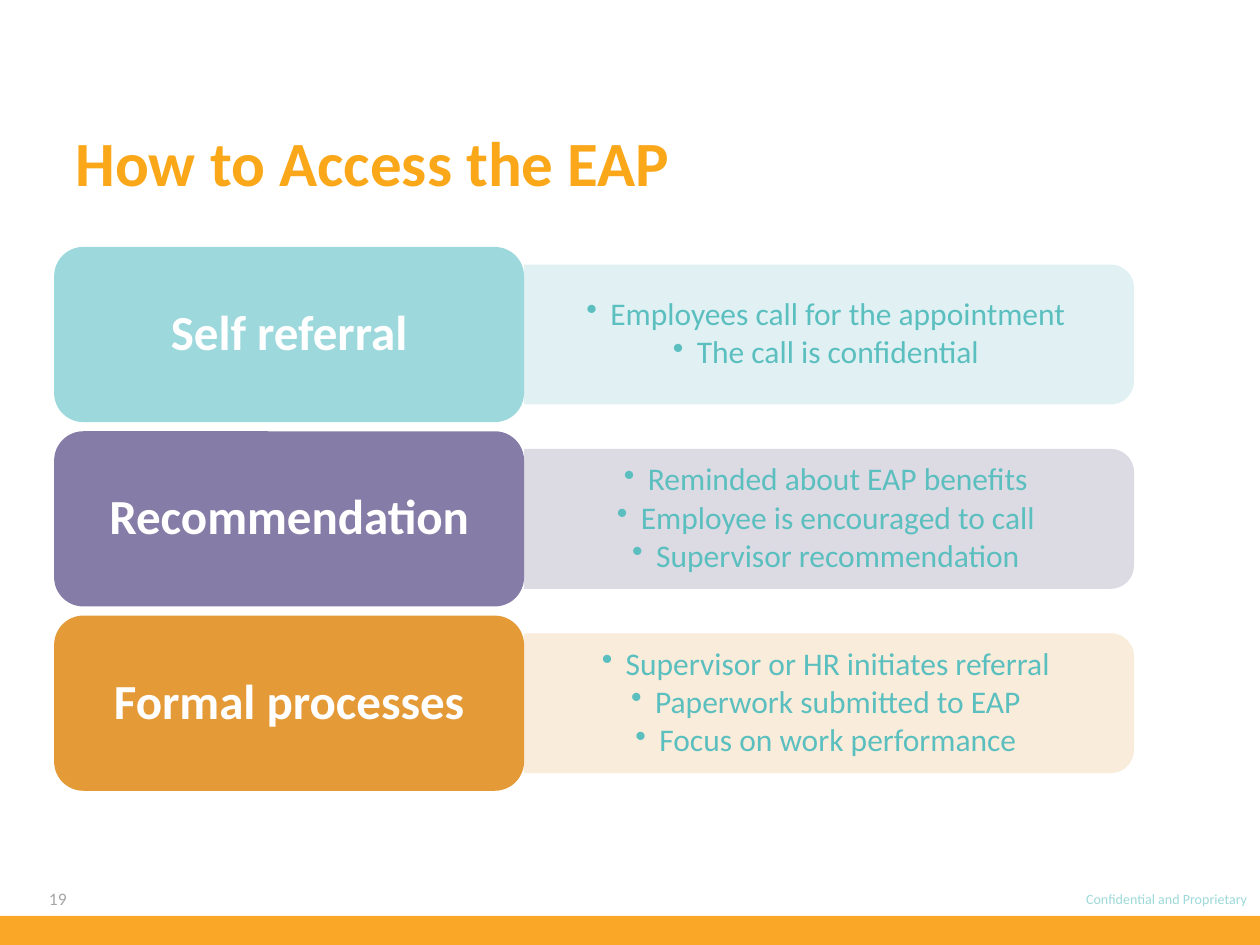
import pptx
import pptx.util
import pptx.dml.color
import pptx.enum.shapes
import pptx.enum.text
import pptx.oxml
import pptx.oxml.ns
from pptx.util import Inches

FONT = "Calibri"
COLORS = {
    "title": "FAA819",
    "band": "FAA626",
    "footer": "9DD9D9",
    "number": "A6A6A6",
    "detail": "5BBFBF",
    "white": "FFFFFF",
}
ROUTES = [
    ("Self referral", "9CD8DC", "DEF0F2",
     ["Employees call for the appointment", "The call is confidential"]),
    ("Recommendation", "857CA7", "D9D7E1",
     ["Reminded about EAP benefits", "Employee is encouraged to call",
      "Supervisor recommendation"]),
    ("Formal processes", "E59A38", "FAEBD7",
     ["Supervisor or HR initiates referral", "Paperwork submitted to EAP",
      "Focus on work performance"]),
]
ALIGN = pptx.enum.text.PP_ALIGN
ANCHOR = pptx.enum.text.MSO_ANCHOR
SHAPE = pptx.enum.shapes.MSO_SHAPE

LABEL_LEFT, LABEL_TOP = 0.43, 1.96
LABEL_WIDTH, LABEL_HEIGHT = 3.73, 1.39
ROW_PITCH = 1.463
PANEL_LENGTH, PANEL_HEIGHT = 4.84, 1.11
DETAIL_WIDTH, DETAIL_HEIGHT = 4.79, 1.01


def rgb(color):
    return pptx.dml.color.RGBColor.from_string(color)


def add_run(paragraph, text, size, color, bold=False):
    run = paragraph.add_run()
    run.text = text
    run.font.name = FONT
    run.font.size = pptx.util.Pt(size)
    run.font.bold = bold
    run.font.color.rgb = rgb(color)


def set_frame(frame, anchor, horizontal=0.1, vertical=0.05):
    frame.word_wrap = True
    frame.auto_size = pptx.enum.text.MSO_AUTO_SIZE.NONE
    frame.vertical_anchor = anchor
    frame.margin_left = frame.margin_right = Inches(horizontal)
    frame.margin_top = frame.margin_bottom = Inches(vertical)


def add_shape(slide, kind, left, top, width, height, color):
    shape = slide.shapes.add_shape(
        kind, Inches(left), Inches(top), Inches(width), Inches(height))
    shape.shadow.inherit = False
    shape.fill.solid()
    shape.fill.fore_color.rgb = rgb(color)
    shape.line.fill.background()
    return shape


def add_text_box(slide, left, top, width, height):
    return slide.shapes.add_textbox(
        Inches(left), Inches(top), Inches(width), Inches(height)).text_frame


def add_note(slide, text, left, top, width, size, color, alignment):
    frame = add_text_box(slide, left, top, width, 0.24)
    set_frame(frame, ANCHOR.TOP)
    paragraph = frame.paragraphs[0]
    paragraph.alignment = alignment
    add_run(paragraph, text, size, color)


def add_title(slide, text):
    title = slide.shapes.title
    title.left, title.top = Inches(0.5), Inches(1)
    title.width, title.height = Inches(9), Inches(0.69)
    set_frame(title.text_frame, ANCHOR.TOP)
    paragraph = title.text_frame.paragraphs[0]
    paragraph.alignment = ALIGN.LEFT
    paragraph.line_spacing = 0.9
    add_run(paragraph, text, 36, COLORS["title"], bold=True)


def add_panel(slide, center_x, center_y, color):
    panel = add_shape(
        slide, SHAPE.ROUND_2_SAME_RECTANGLE,
        center_x - PANEL_HEIGHT / 2, center_y - PANEL_LENGTH / 2,
        PANEL_HEIGHT, PANEL_LENGTH, color)
    panel.rotation = 90
    fill_color = panel.fill._xPr.find(".//" + pptx.oxml.ns.qn("a:srgbClr"))
    alpha = pptx.oxml.parse_xml(
        f'<a:alpha {pptx.oxml.ns.nsdecls("a")} val="90000"/>')
    fill_color.append(alpha)


def add_bullet(paragraph):
    properties = paragraph._p.get_or_add_pPr()
    properties.set("marL", str(Inches(0.19)))
    properties.set("indent", str(Inches(-0.19)))
    properties.append(pptx.oxml.parse_xml(
        f'<a:buChar {pptx.oxml.ns.nsdecls("a")} char="•"/>'))


def add_details(slide, left, center_y, details):
    frame = add_text_box(
        slide, left, center_y - DETAIL_HEIGHT / 2, DETAIL_WIDTH, DETAIL_HEIGHT)
    set_frame(frame, ANCHOR.MIDDLE, 0.27, 0.14)
    for index, detail in enumerate(details):
        paragraph = frame.add_paragraph() if index else frame.paragraphs[0]
        add_bullet(paragraph)
        paragraph.level = 1
        paragraph.alignment = ALIGN.CENTER
        paragraph.line_spacing = 0.9
        paragraph.space_after = pptx.util.Pt(2.5)
        add_run(paragraph, detail, 18, COLORS["detail"])


def add_label(slide, top, text, color):
    label = add_shape(slide, SHAPE.ROUNDED_RECTANGLE, LABEL_LEFT, top,
                      LABEL_WIDTH, LABEL_HEIGHT, color)
    set_frame(label.text_frame, ANCHOR.MIDDLE, 0.12, 0.06)
    paragraph = label.text_frame.paragraphs[0]
    paragraph.alignment = ALIGN.CENTER
    paragraph.line_spacing = 0.9
    add_run(paragraph, text, 28, COLORS["white"], bold=True)


def add_route(slide, row, route):
    name, label_color, panel_color, details = route
    top = LABEL_TOP + row * ROW_PITCH
    center_y = top + LABEL_HEIGHT / 2
    panel_left = LABEL_LEFT + LABEL_WIDTH
    add_panel(slide, panel_left + PANEL_LENGTH / 2, center_y, panel_color)
    add_details(slide, panel_left, center_y, details)
    add_label(slide, top, name, label_color)


def main():
    presentation = pptx.Presentation()
    presentation.slide_width = Inches(10)
    presentation.slide_height = Inches(7.5)
    slide = presentation.slides.add_slide(presentation.slide_layouts[5])
    add_note(slide, "Confidential and Proprietary", 7, 7.02, 3, 8,
             COLORS["footer"], ALIGN.RIGHT)
    add_note(slide, "19", 0.29, 7, 2.33, 10, COLORS["number"], ALIGN.LEFT)
    add_shape(slide, SHAPE.RECTANGLE, 0, 7.27, 10, 0.23, COLORS["band"])
    add_title(slide, "How to Access the EAP")
    for row, route in enumerate(ROUTES):
        add_route(slide, row, route)
    presentation.save("out.pptx")


if __name__ == "__main__":
    main()
